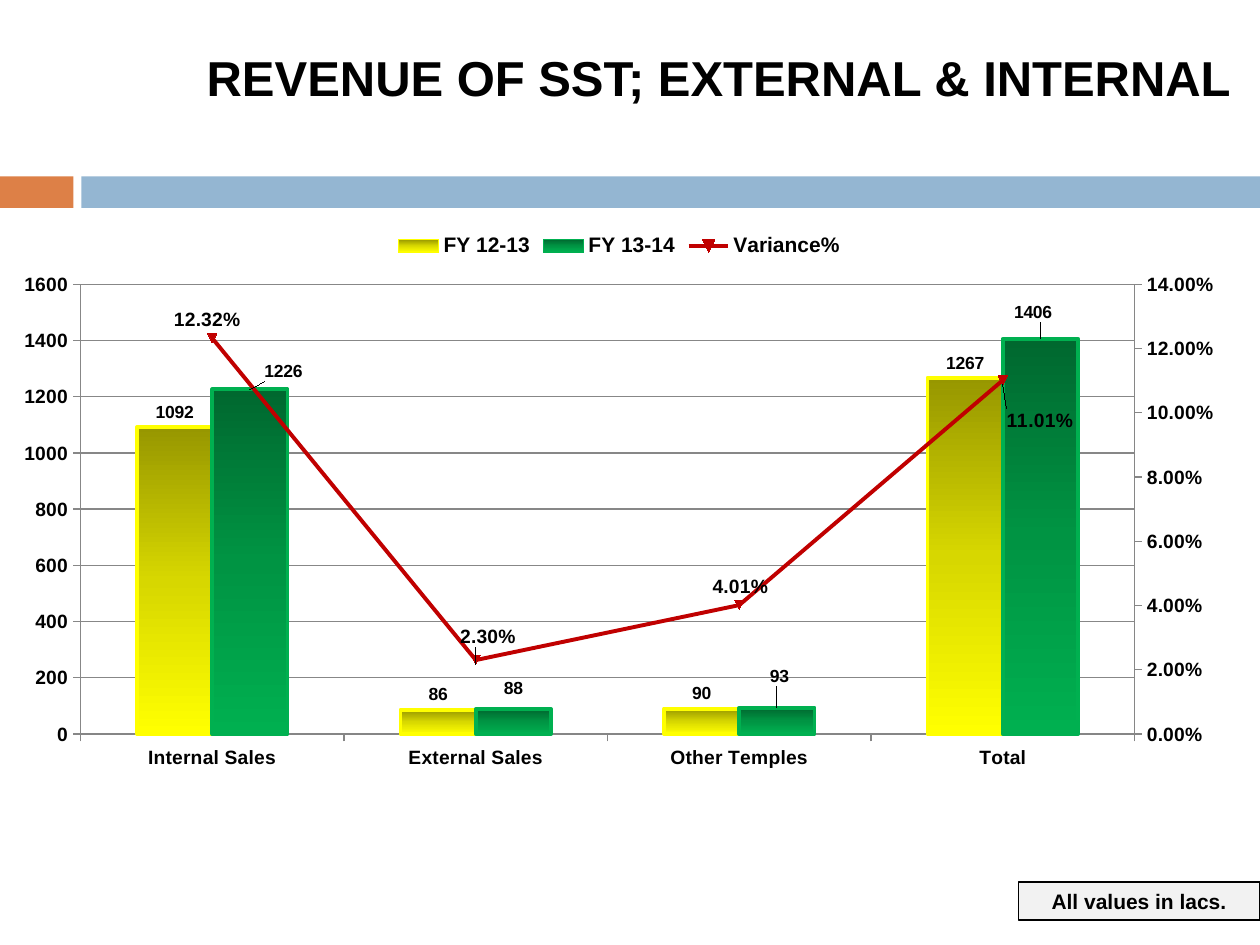
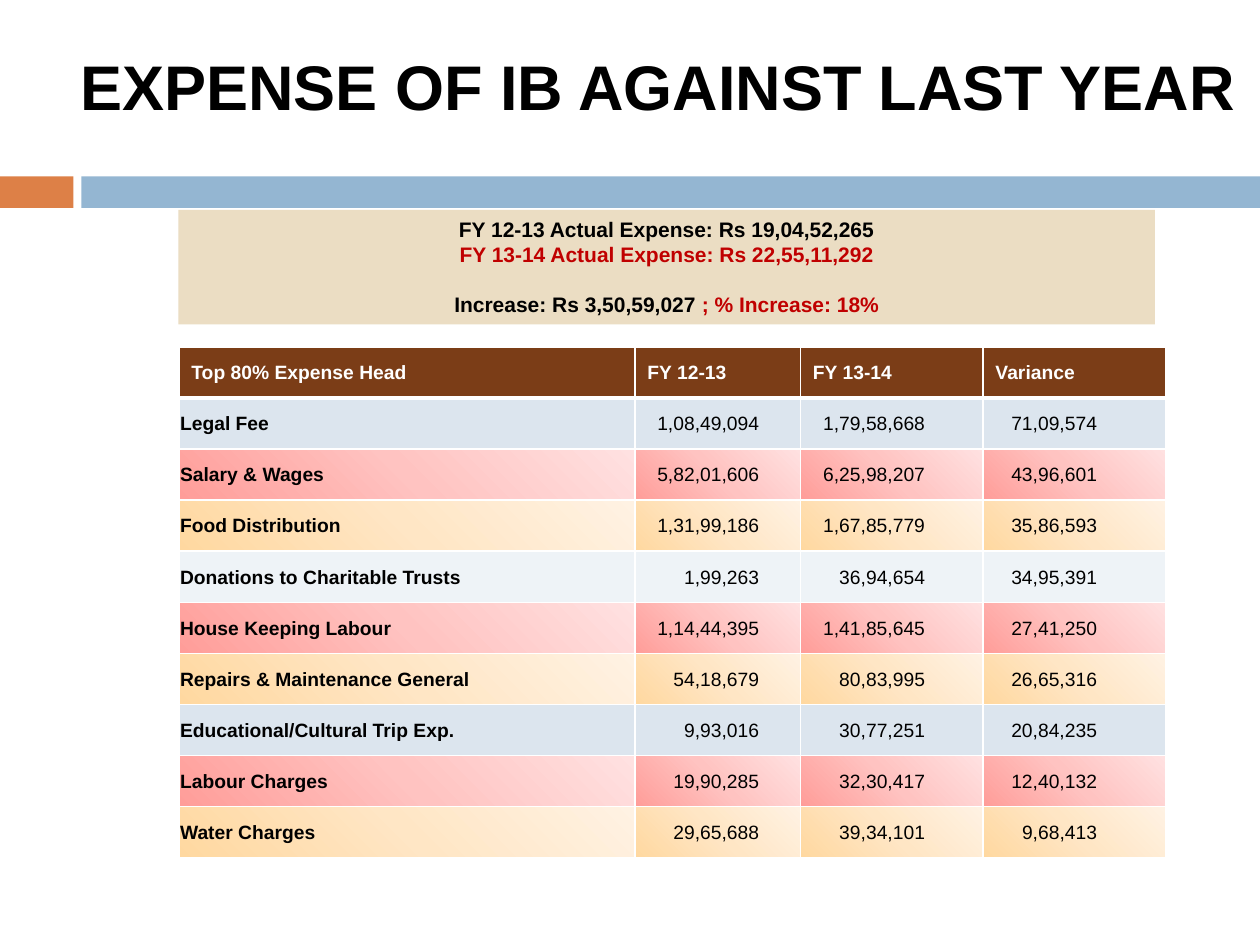
from dataclasses import dataclass

from pptx import Presentation
from pptx.chart import axis
from pptx.chart.data import CategoryChartData
from pptx.dml.color import RGBColor
from pptx.enum import chart as ch, shapes, text
from pptx.oxml import parse_xml
from pptx.oxml.ns import nsdecls, qn
from pptx.util import Pt


@dataclass(frozen=True)
class Theme:
    font: str = "Arial"
    black: str = "000000"
    white: str = "FFFFFF"
    red: str = "C00000"
    orange: str = "DD8047"
    blue: str = "94B6D2"
    sand: str = "EBDDC3"
    brown: str = "7B3D17"
    pale: str = "F2F2F2"
    grey: str = "868686"
    body: int = 12
    small: int = 11
    tiny: int = 10


T = Theme()

# Content. Boxes are left, top, width, height in points.
BANDS = [((0, 100.8, 42, 18), T.orange), ((46.5, 100.8, 673.5, 18), T.blue)]

REVENUE_TITLE = ("REVENUE OF SST; EXTERNAL & INTERNAL", (110.9, 23.8, 609.1, 41), 28)
EXPENSE_TITLE = ("EXPENSE OF IB AGAINST LAST YEAR", (38.9, 23.8, 681.1, 51), 36)

CATEGORIES = ["Internal Sales", "External Sales", "Other Temples", "Total"]
# Label shifts are fractions of the chart's width and height, one per category.
BARS = [
    dict(name="FY 12-13", values=[1092, 86, 90, 1267], line="FFFF00",
         stops=["979700", "D7D700", "FFFF00"], shifts=[]),
    dict(name="FY 13-14", values=[1226, 88, 93, 1406], line="00B050",
         stops=["00682F", "009443", "00B050"],
         shifts=[(0.027, -0.005), (0, -0.01), (0.002, -0.03), (-0.006, -0.02)]),
]
VARIANCE = dict(name="Variance%", values=[0.1232, 0.023, 0.0401, 0.1101],
                shifts=[(-0.004, -0.07), (0.01, -0.08), (0.001, -0.07), (0.03, 0.034)])
CHART_BOX = (0, 126, 707.8, 319.7)
PLOT_AREA = dict(x=0.065, y=0.114, w=0.851, h=0.804)
NOTE = "All values in lacs."
NOTE_BOX = (581.8, 504, 138.2, 21.8)

SUMMARY = [
    [("FY 12-13 Actual Expense: Rs 19,04,52,265", T.black)],
    [("FY 13-14 Actual Expense: Rs 22,55,11,292", T.red)],
    [("Increase: Rs 3,50,59,027 ", T.black), ("; % Increase: 18%", T.red)],
]
SUMMARY_BOX = (102, 120, 558, 65.4)

EXPENSES = [
    ("Top 80% Expense Head", "FY 12-13", "FY 13-14", "Variance"),
    ("Legal Fee", "1,08,49,094", "1,79,58,668", "71,09,574"),
    ("Salary & Wages", "5,82,01,606", "6,25,98,207", "43,96,601"),
    ("Food Distribution", "1,31,99,186", "1,67,85,779", "35,86,593"),
    ("Donations to Charitable Trusts", "1,99,263", "36,94,654", "34,95,391"),
    ("House Keeping Labour", "1,14,44,395", "1,41,85,645", "27,41,250"),
    ("Repairs & Maintenance General", "54,18,679", "80,83,995", "26,65,316"),
    ("Educational/Cultural Trip Exp.", "9,93,016", "30,77,251", "20,84,235"),
    ("Labour Charges", "19,90,285", "32,30,417", "12,40,132"),
    ("Water Charges", "29,65,688", "39,34,101", "9,68,413"),
]
COLUMN_WIDTHS = [260.6, 94.6, 104.3, 104.3]
RIGHT_MARGINS = [0.7, 23.5, 33, 39]
TABLE_AT = (102.2, 198.2)
ROW_HEIGHT = 29.2
PLAIN_FILLS = ["DCE5EE", "EEF3F7"]
PINK_STOPS = ["FF9D99", "FFC3C1", "FFE1E1"]
AMBER_STOPS = ["FFD8A0", "FFE6C5", "FFF2E3"]


def pts(values):
    return [Pt(v) for v in values]


def style_font(font, size, color=T.black, bold=True):
    font.name, font.size, font.bold = T.font, Pt(size), bold
    font.color.rgb = RGBColor.from_string(color)


def add_run(p, words, size, color=T.black, bold=True):
    r = p.add_run()
    r.text = words
    style_font(r.font, size, color, bold)


def set_solid(fill, color):
    fill.solid()
    fill.fore_color.rgb = RGBColor.from_string(color)


def set_gradient(fill, parent, stops, angle):
    """Swap the solid fill inside parent for evenly spaced gradient stops."""
    fill.solid()
    step = 100000 // (len(stops) - 1)
    gs = "".join(f'<a:gs pos="{i * step}"><a:srgbClr val="{c}"/></a:gs>'
                 for i, c in enumerate(stops))
    parent.replace(parent.find(qn("a:solidFill")), parse_xml(
        f'<a:gradFill {nsdecls("a")} rotWithShape="1"><a:gsLst>{gs}</a:gsLst>'
        f'<a:lin ang="{angle * 60000}" scaled="0"/></a:gradFill>'))


def set_line(line, color, width):
    set_solid(line.fill, color)
    line.width = Pt(width)


def add_block(s, box, color, outline=None):
    sp = s.shapes.add_shape(shapes.MSO_SHAPE.RECTANGLE, *pts(box))
    sp.shadow.inherit = False
    set_solid(sp.fill, color)
    if outline:
        set_line(sp.line, outline, 0.75)
    else:
        sp.line.fill.background()
    return sp


def add_text_block(s, box, color, lines, outline=None):
    tf = add_block(s, box, color, outline).text_frame
    tf.word_wrap = True
    tf.vertical_anchor = text.MSO_ANCHOR.TOP
    for i, runs in enumerate(lines):
        p = tf.add_paragraph() if i else tf.paragraphs[0]
        p.alignment = text.PP_ALIGN.CENTER
        for words, c in runs:
            add_run(p, words, T.body, c)
    return tf


def add_titled_slide(prs, words, box, size):
    s = prs.slides.add_slide(prs.slide_layouts[5])
    title = s.shapes.title
    title.left, title.top, title.width, title.height = pts(box)
    tf = title.text_frame
    tf.word_wrap = False
    tf.auto_size = text.MSO_AUTO_SIZE.NONE
    tf.vertical_anchor = text.MSO_ANCHOR.TOP
    tf.paragraphs[0].alignment = text.PP_ALIGN.LEFT
    add_run(tf.paragraphs[0], words, size)
    return s


def add_bands_to_layout(s):
    """Draw the bands and hand them to the layout, so all slides show them."""
    for box, color in BANDS:
        s.slide_layout.shapes.element.append(add_block(s, box, color).element)


def manual_layout(inner=False, **fractions):
    target = '<c:layoutTarget val="inner"/>' if inner else ""
    modes = '<c:xMode val="edge"/><c:yMode val="edge"/>' if inner else ""
    parts = "".join(f'<c:{k} val="{v}"/>' for k, v in fractions.items())
    return parse_xml(f'<c:layout {nsdecls("c")}><c:manualLayout>{target}{modes}{parts}'
                     '</c:manualLayout></c:layout>')


def move_to_line_plot(plot_area, ser):
    """Turn a bar series into a line on a second value axis, which is returned."""
    bar = plot_area.find(qn("c:barChart"))
    for el in ser.findall(qn("c:invertIfNegative")):
        ser.remove(el)
    line = parse_xml(
        f'<c:lineChart {nsdecls("c")}><c:grouping val="standard"/><c:varyColors val="0"/>'
        '<c:marker val="1"/><c:axId val="501"/><c:axId val="502"/></c:lineChart>')
    line.insert(2, ser)
    bar.addnext(line)
    scaling = '<c:scaling><c:orientation val="minMax"/></c:scaling>'
    cat = parse_xml(
        f'<c:catAx {nsdecls("c")}><c:axId val="501"/>{scaling}<c:delete val="1"/>'
        '<c:axPos val="b"/><c:crossAx val="502"/><c:crosses val="autoZero"/></c:catAx>')
    val = parse_xml(
        f'<c:valAx {nsdecls("c")}><c:axId val="502"/>{scaling}<c:delete val="0"/>'
        '<c:axPos val="r"/><c:crossAx val="501"/><c:crosses val="max"/></c:valAx>')
    plot_area.findall(qn("c:valAx"))[-1].addnext(val)
    val.addnext(cat)
    return axis.ValueAxis(val)


def style_axis(ax, top=None, step=None, number_format=None):
    ax.has_major_gridlines = False
    ax.major_tick_mark = ch.XL_TICK_MARK.OUTSIDE
    ax.minor_tick_mark = ch.XL_TICK_MARK.NONE
    ax.tick_label_position = ch.XL_TICK_LABEL_POSITION.NEXT_TO_AXIS
    set_line(ax.format.line, T.grey, 0.75)
    style_font(ax.tick_labels.font, T.small)
    if top:
        ax.minimum_scale, ax.maximum_scale, ax.major_unit = 0, top, step
        ax.tick_labels.number_format = number_format
        ax.tick_labels.number_format_is_linked = False


def label_series(series, size, number_format, position, shifts):
    labels = series.data_labels
    labels.show_value = True
    labels.number_format, labels.number_format_is_linked = number_format, False
    labels.position = position
    style_font(labels.font, size)
    for i, (dx, dy) in enumerate(shifts):
        label = series.points[i].data_label
        label.position = position
        style_font(label.font, size)
    dlbls = series.data_labels._element.findall(qn("c:dLbl"))
    for dlbl, (dx, dy) in zip(dlbls, shifts):
        dlbl[0].addnext(manual_layout(x=dx, y=dy))


def add_revenue_chart(s):
    data = CategoryChartData()
    data.categories = CATEGORIES
    for item in BARS:
        data.add_series(item["name"], item["values"], "0")
    data.add_series(VARIANCE["name"], VARIANCE["values"], "0.00%")
    chart = s.shapes.add_chart(ch.XL_CHART_TYPE.COLUMN_CLUSTERED, *pts(CHART_BOX), data).chart
    style_font(chart.font, T.small)
    chart.has_title = False
    chart.has_legend = True
    chart.legend.position = ch.XL_LEGEND_POSITION.TOP
    chart.legend.include_in_layout = False
    style_font(chart.legend.font, T.body)

    plot_area = chart._chartSpace.chart.plotArea
    for el in plot_area.findall(qn("c:layout")):
        plot_area.remove(el)
    plot_area.insert(0, manual_layout(inner=True, **PLOT_AREA))
    right_axis = move_to_line_plot(plot_area, chart.plots[0].series[2]._element)
    style_axis(chart.category_axis)
    style_axis(chart.value_axis, 1600, 200, "0")
    style_axis(right_axis, 0.14, 0.02, "0.00%")

    bars, lines = chart.plots
    bars.vary_by_categories = False
    bars.gap_width, bars.overlap = 150, 0
    for series, item in zip(bars.series, BARS):
        set_gradient(series.format.fill, series._element.find(qn("c:spPr")), item["stops"], 90)
        set_line(series.format.line, item["line"], 2.25)
        label_series(series, T.tiny, "0", ch.XL_LABEL_POSITION.OUTSIDE_END, item["shifts"])
    variance = lines.series[0]
    variance.smooth = False
    set_line(variance.format.line, T.red, 2.25)
    variance.marker.size = 5
    set_solid(variance.marker.format.fill, T.red)
    set_line(variance.marker.format.line, T.red, 0.75)
    label_series(variance, T.small, "0.00%", ch.XL_LABEL_POSITION.BELOW, VARIANCE["shifts"])


def set_borders(cell, top, bottom):
    widths = dict(L=1, R=1, T=top, B=bottom)
    for i, (side, width) in enumerate(widths.items()):
        cell._tc.get_or_add_tcPr().insert(i, parse_xml(
            f'<a:ln{side} {nsdecls("a")} w="{Pt(width)}"><a:solidFill>'
            f'<a:srgbClr val="{T.white}"/></a:solidFill></a:ln{side}>'))


def fill_row_cell(cell, row):
    """Body rows cycle through plain, pink and amber; plain alternates two tints."""
    group, kind = divmod(row - 1, 3)
    if row == 0:
        set_solid(cell.fill, T.brown)
    elif kind == 0:
        set_solid(cell.fill, PLAIN_FILLS[group % 2])
    else:
        set_gradient(cell.fill, cell._tc.tcPr, (PINK_STOPS, AMBER_STOPS)[kind - 1], 315)


def add_expense_table(s):
    size = (sum(COLUMN_WIDTHS), ROW_HEIGHT * len(EXPENSES))
    table = s.shapes.add_table(len(EXPENSES), len(COLUMN_WIDTHS), *pts(TABLE_AT + size)).table
    for column, width in zip(table.columns, COLUMN_WIDTHS):
        column.width = Pt(width)
    for r, values in enumerate(EXPENSES):
        table.rows[r].height = Pt(ROW_HEIGHT)
        for c, value in enumerate(values):
            cell = table.cell(r, c)
            cell.vertical_anchor = text.MSO_ANCHOR.MIDDLE
            fill_row_cell(cell, r)
            set_borders(cell, top=3 if r == 1 else 1, bottom=3 if r == 0 else 1)
            p = cell.text_frame.paragraphs[0]
            if r:
                cell.margin_left = cell.margin_top = Pt(0.7)
                cell.margin_bottom = 0
                cell.margin_right = Pt(RIGHT_MARGINS[c])
                p.alignment = text.PP_ALIGN.RIGHT if c else text.PP_ALIGN.LEFT
            add_run(p, value, T.small, T.black if r else T.white, bold=r == 0 or c == 0)


def main():
    prs = Presentation()
    prs.slide_width, prs.slide_height = Pt(720), Pt(540)

    revenue = add_titled_slide(prs, *REVENUE_TITLE)
    add_bands_to_layout(revenue)
    add_revenue_chart(revenue)
    add_text_block(revenue, NOTE_BOX, T.pale, [[(NOTE, T.black)]], outline=T.black)

    expense = add_titled_slide(prs, *EXPENSE_TITLE)
    tf = add_text_block(expense, SUMMARY_BOX, T.sand, SUMMARY)
    tf.paragraphs[-1].space_before = Pt(14.4)
    add_expense_table(expense)
    prs.save("out.pptx")


if __name__ == "__main__":
    main()
